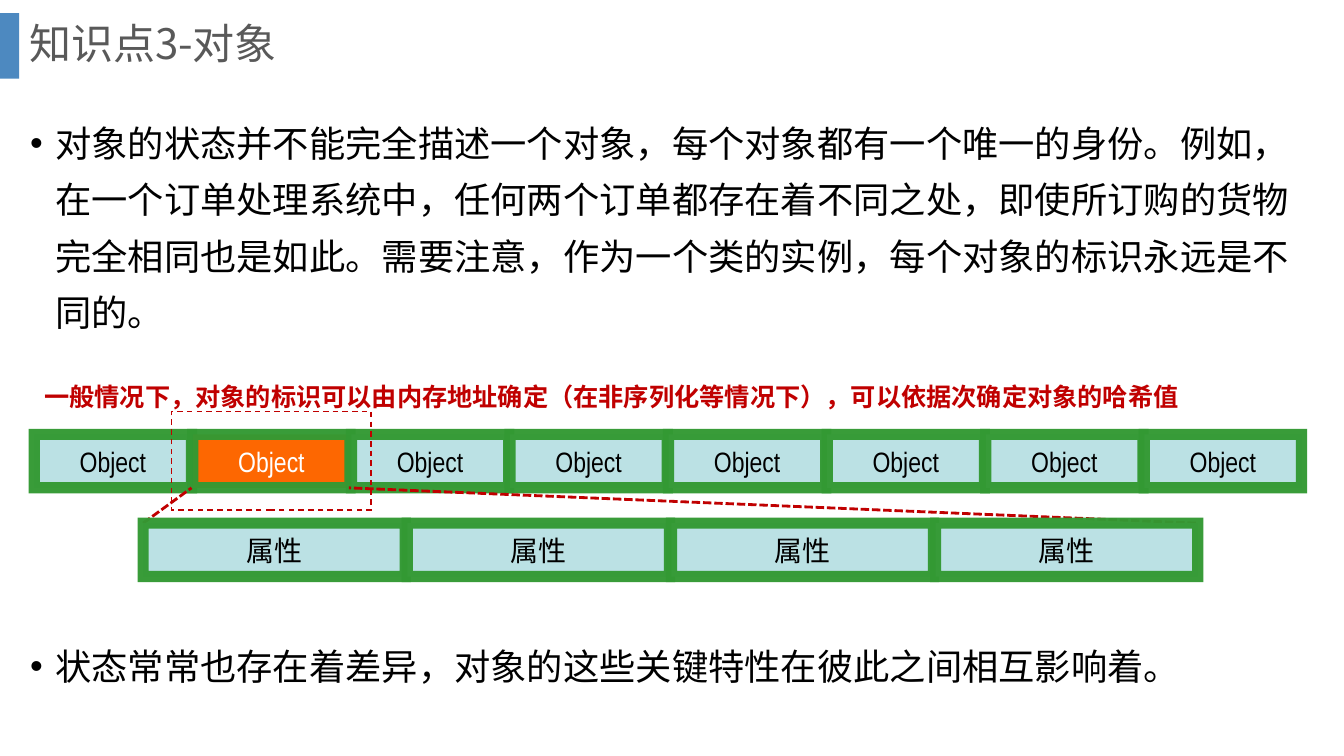
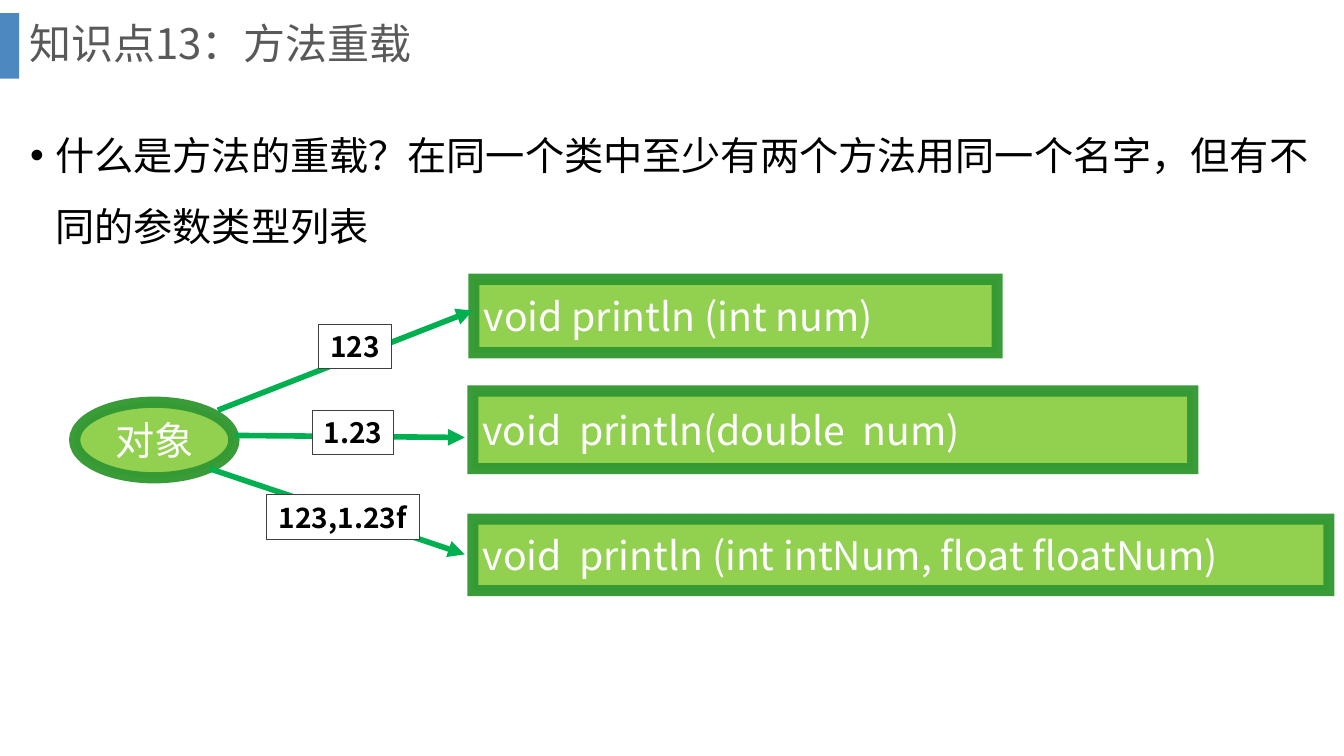
from lxml import etree
from pptx import Presentation
from pptx.dml.color import RGBColor
from pptx.enum import dml, shapes, text
from pptx.oxml import ns
from pptx.util import Inches, Pt

SANS = "Noto Sans CJK SC"
NARROW = "Arial Narrow"
BLACK = RGBColor(0x00, 0x00, 0x00)
WHITE = RGBColor(0xFF, 0xFF, 0xFF)
BAND_BLUE = RGBColor(0x2E, 0x75, 0xB6)
TITLE_GRAY = RGBColor(0x59, 0x59, 0x59)
LABEL_EDGE = RGBColor(0x40, 0x40, 0x40)
PALE_TEAL = RGBColor(0xBB, 0xE1, 0xE4)
ORANGE = RGBColor(0xFD, 0x67, 0x01)
RED = RGBColor(0xC0, 0x00, 0x00)
LIME = RGBColor(0x92, 0xD0, 0x50)
EDGE_GREEN = RGBColor(0x33, 0x99, 0x33)
ARROW_GREEN = RGBColor(0x00, 0xB0, 0x50)

RECT = shapes.MSO_SHAPE.RECTANGLE
OVAL = shapes.MSO_SHAPE.OVAL
LEFT = text.PP_ALIGN.LEFT
CENTER = text.PP_ALIGN.CENTER
MIDDLE = text.MSO_ANCHOR.MIDDLE
TOP = text.MSO_ANCHOR.TOP


def add_box(page, bounds, words=(), kind=RECT, fill=None, edge=None, width=8,
            opacity=100, size=20, color=BLACK, font=SANS, bold=False,
            align=CENTER, anchor=MIDDLE, wrap=True):
    """Add a shape, or a text box if kind is None; opacity applies to the edge, else the fill."""
    bounds = [Inches(length) for length in bounds]
    if kind is None:
        box = page.shapes.add_textbox(*bounds)
    else:
        box = page.shapes.add_shape(kind, *bounds)
        box.shadow.inherit = False
        if fill is None:
            box.fill.background()
        else:
            box.fill.solid()
            box.fill.fore_color.rgb = fill
        if edge is None:
            box.line.fill.background()
        else:
            box.line.color.rgb = edge
            box.line.width = Pt(width)
            etree.SubElement(box.line._get_or_add_ln(), ns.qn("a:miter"), lim="800000")
    if opacity < 100:
        last_color = list(box._element.spPr.iter(ns.qn("a:srgbClr")))[-1]
        etree.SubElement(last_color, ns.qn("a:alpha"), val=str(opacity * 1000))

    frame = box.text_frame
    frame.word_wrap = wrap
    frame.vertical_anchor = anchor
    for i, line in enumerate(words):
        para = frame.add_paragraph() if i else frame.paragraphs[0]
        para.text = line
        para.alignment = align
        para.font.size = Pt(size)
        para.font.bold = bold
        para.font.color.rgb = color
        para.font.name = font
        defaults = para._p.pPr.find(ns.qn("a:defRPr"))
        etree.SubElement(defaults, ns.qn("a:ea"), typeface=font)
    return box


def add_line(page, start, end, color, width):
    line = page.shapes.add_connector(
        shapes.MSO_CONNECTOR.STRAIGHT, *[Inches(v) for v in (*start, *end)])
    line.line.color.rgb = color
    line.line.width = Pt(width)
    etree.SubElement(line._element.spPr, ns.qn("a:effectLst"))
    return line


deck = Presentation()
deck.slide_width = Inches(13.33)
deck.slide_height = Inches(7.5)

# Title, body size, line pitch, gap between paragraphs, body paragraphs
outline = [
    ("知识点3-对象", 25.9, 40.4, 212, [
        "对象的状态并不能完全描述一个对象，每个对象都有一个唯一的身份。例如，"
        "在一个订单处理系统中，任何两个订单都存在着不同之处，即使所订购的货物"
        "完全相同也是如此。需要注意，作为一个类的实例，每个对象的标识永远是不同的。",
        "状态常常也存在着差异，对象的这些关键特性在彼此之间相互影响着。",
    ]),
    ("知识点13：方法重载", 28, 50.4, 0, [
        "什么是方法的重载？在同一个类中至少有两个方法用同一个名字，"
        "但有不同的参数类型列表",
    ]),
]
pages = []
for title, size, pitch, gap, body in outline:
    page = deck.slides.add_slide(deck.slide_layouts[6])
    pages.append(page)
    add_box(page, (0, 0.13, 0.19, 0.65), fill=BAND_BLUE, opacity=85)
    add_box(page, (0.19, 0, 12.66, 0.85), [title], kind=None, size=30,
            color=TITLE_GRAY, align=LEFT)
    body_box = add_box(page, (0.2, 1.02, 12.95, 5.92), body, kind=None, size=size,
                       align=LEFT, anchor=TOP)
    for i, para in enumerate(body_box.text_frame.paragraphs):
        para.line_spacing = Pt(pitch)
        para.space_before = Pt(gap if i else 0)
        props = para._p.pPr
        props.set("marL", str(Inches(0.25)))
        props.set("indent", str(-Inches(0.25)))
        defaults = props.find(ns.qn("a:defRPr"))
        bullet_font = etree.Element(ns.qn("a:buFont"), typeface="Arial")
        bullet = etree.Element(ns.qn("a:buChar"), char="•")
        defaults.addprevious(bullet_font)
        defaults.addprevious(bullet)
object_page, overload_page = pages

# Objects in memory, one of them opened up into its attributes
object_pitch = (11.35 - 0.34) / 7
for i in range(8):
    chosen = i == 1
    add_box(object_page, (0.34 + i * object_pitch, 4.31, 1.56, 0.53), ["Object"],
            fill=ORANGE if chosen else PALE_TEAL, edge=EDGE_GREEN, opacity=96,
            color=WHITE if chosen else BLACK, font=NARROW)
for start, end in [((1.42, 5.19), (1.9, 4.84)), ((11.86, 5.19), (3.46, 4.84))]:
    guide = add_line(object_page, start, end, RED, 2)
    guide.line.dash_style = dml.MSO_LINE.SQUARE_DOT
for i in range(4):
    add_box(object_page, (1.42 + i * 2.62, 5.19, 2.6, 0.53), ["属性"],
            fill=PALE_TEAL, edge=EDGE_GREEN, opacity=96)
focus = add_box(object_page, (1.7, 4.08, 1.98, 0.98), edge=RED, width=1)
focus.line.dash_style = dml.MSO_LINE.DASH
add_box(object_page, (0.34, 3.73, 12.12, 0.4),
        ["一般情况下，对象的标识可以由内存地址确定（在非序列化等情况下），可以依据次确定对象的哈希值"],
        kind=None, size=18, color=RED, bold=True, align=LEFT)

# One object calling three overloads
add_box(overload_page, (0.74, 3.99, 1.58, 0.75), ["对象"], kind=OVAL, fill=LIME,
        edge=EDGE_GREEN, opacity=96, size=28, color=WHITE)
methods = [
    ((4.7, 2.77, 5.19, 0.73), "void println (int num)"),
    ((4.69, 3.88, 7.14, 0.77), "void  println(double  num)"),
    ((4.69, 5.15, 8.49, 0.71), "void  println (int intNum, float floatNum)"),
]
for bounds, signature in methods:
    add_box(overload_page, bounds, [signature], fill=LIME, edge=EDGE_GREEN,
            opacity=96, size=28, color=WHITE, align=LEFT)
calls = [
    ((2.16, 4.07), (4.69, 3.08), (3.16, 3.22, 0.72, 0.44), "123"),
    ((2.33, 4.32), (4.61, 4.34), (3.1, 4.07, 0.8, 0.44), "1.23"),
    ((2.08, 4.65), (4.61, 5.5), (2.64, 4.91, 1.52, 0.44), "123,1.23f"),
]
for start, end, bounds, argument in calls:
    arrow = add_line(overload_page, start, end, ARROW_GREEN, 4)
    etree.SubElement(arrow.line._get_or_add_ln(), ns.qn("a:tailEnd"), type="triangle")
    add_box(overload_page, bounds, [argument], fill=WHITE, edge=LABEL_EDGE,
            width=0.75, bold=True, wrap=False)

deck.save("out.pptx")
